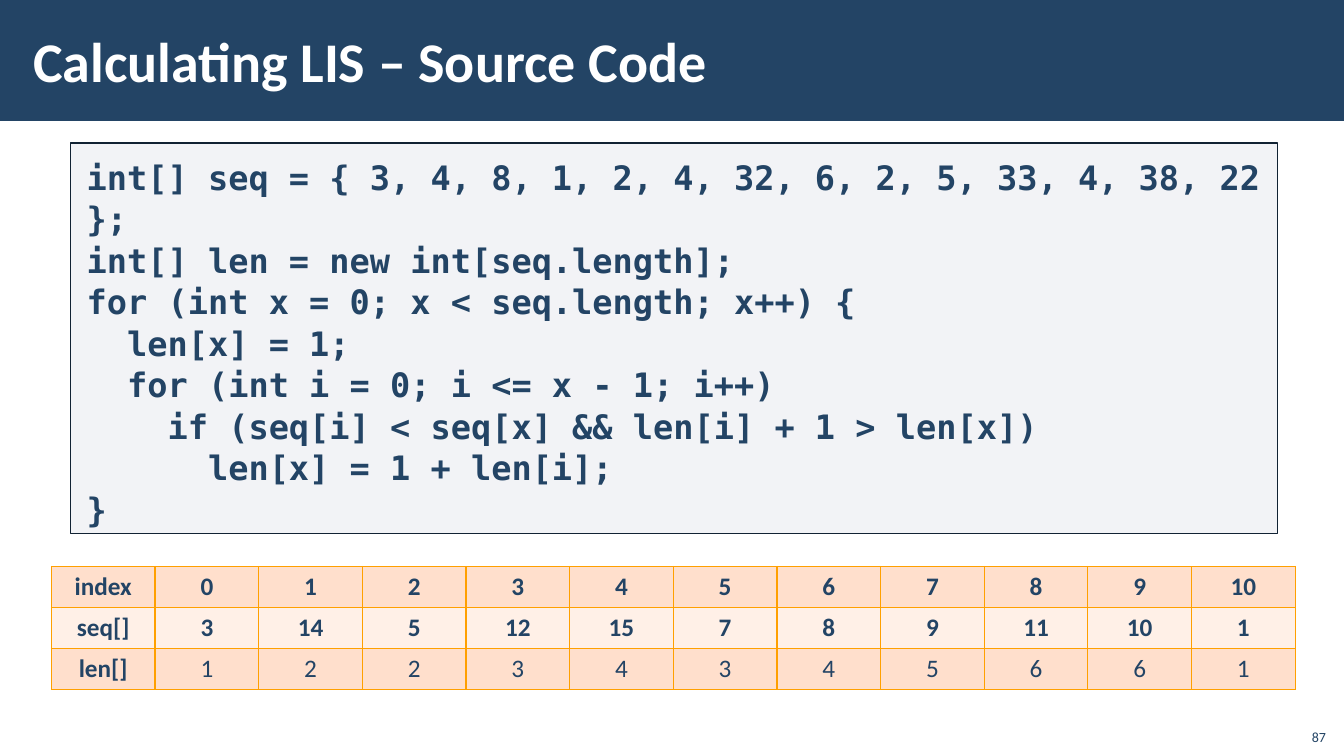
from lxml.etree import SubElement as Sub
from pptx import Presentation
from pptx.dml.color import RGBColor
from pptx.enum.shapes import MSO_SHAPE as Shape
from pptx.enum.text import MSO_ANCHOR as Anchor, MSO_AUTO_SIZE as Auto, PP_ALIGN as Align
from pptx.oxml.ns import qn
from pptx.util import Inches, Pt

NAVY, WHITE, DARK = "234465", "FFFFFF", "112233"
GREY, GOLD = "ADB4C3", "FFA000"
BANDS = ["FFDFCC", "FFF0E7"]

CODE = """int[] seq = { 3, 4, 8, 1, 2, 4, 32, 6, 2, 5, 33, 4, 38, 22 };
int[] len = new int[seq.length];
for (int x = 0; x < seq.length; x++) {
  len[x] = 1;
  for (int i = 0; i <= x - 1; i++)
    if (seq[i] < seq[x] && len[i] + 1 > len[x])
      len[x] = 1 + len[i];
}"""

ROWS = [
    ["index", *range(11)],
    ["seq[]", 3, 14, 5, 12, 15, 7, 8, 9, 11, 10, 1],
    ["len[]", 1, 2, 2, 3, 4, 3, 4, 5, 6, 6, 1],
]


def color(code):
    return RGBColor.from_string(code)


def assign(item, values):
    for name, value in values.items():
        setattr(item, name, value)


class Deck:
    """Holds the style and the current slide, and draws each kind of element."""

    def __init__(self):
        self.show = Presentation()
        assign(self.show, {"slide_width": Inches(13.33), "slide_height": Inches(7.5)})
        self.slide = self.show.slides.add_slide(self.show.slide_layouts[1])
        self.font = "Calibri"
        self.mono = "DejaVu Sans Mono"

    def place(self, shape, *box):
        assign(shape, dict(zip(["left", "top", "width", "height"], map(Inches, box))))

    def frame(self, frame, side, edge, anchor):
        assign(frame, {
            "margin_left": Inches(side), "margin_right": Inches(side),
            "margin_top": Inches(edge), "margin_bottom": Inches(edge),
            "vertical_anchor": anchor, "word_wrap": True, "auto_size": Auto.NONE,
        })

    def words(self, frame, text, size, tint=NAVY, bold=False, align=Align.LEFT, font=None):
        frame.text = text
        for par in frame.paragraphs:
            assign(par, {"alignment": align, "space_before": Pt(0)})
            for run in par.runs:
                assign(run.font, {"name": font or self.font, "size": Pt(size), "bold": bold})
                run.font.color.rgb = color(tint)

    def band(self, *box):
        bar = self.slide.shapes.add_shape(Shape.RECTANGLE, *map(Inches, box))
        bar.shadow.inherit = False
        bar.fill.solid()
        bar.fill.fore_color.rgb = color(NAVY)
        bar.line.fill.background()
        self.slide.shapes._spTree.insert(2, bar._element)

    def title(self, text, *box):
        head = self.slide.shapes.title
        self.place(head, *box)
        self.frame(head.text_frame, 0.12, 0.04, Anchor.MIDDLE)
        self.words(head.text_frame, text, 40, WHITE, True)

    def code(self, text, *box):
        body = self.slide.placeholders[1]
        self.place(body, *box)
        body.fill.solid()
        body.fill.fore_color.rgb = color(GREY)
        tint = body._element.spPr.find(qn("a:solidFill"))[0]
        Sub(tint, qn("a:alpha"), val="15000")
        body.line.color.rgb = color(DARK)
        body.line.width = Pt(1)
        self.frame(body.text_frame, 0.16, 0.12, Anchor.TOP)
        self.words(body.text_frame, text, 24, bold=True, font=self.mono)
        for par in body.text_frame.paragraphs:
            par.line_spacing = 1.03
            props = par._p.get_or_add_pPr()
            props.set("marL", "0")
            props.set("indent", "0")
            Sub(props, qn("a:buNone"))

    def border(self, cell):
        props = cell._tc.get_or_add_tcPr()
        for side in ["lnL", "lnR", "lnT", "lnB"]:
            line = Sub(props, qn("a:" + side), w=str(Pt(1)))
            fill = Sub(line, qn("a:solidFill"))
            Sub(fill, qn("a:srgbClr"), val=GOLD)

    def table(self, rows, left, top, width, high):
        box = map(Inches, [left, top, width, high * len(rows)])
        grid = self.slide.shapes.add_table(len(rows), len(rows[0]), *box).table
        assign(grid, {"first_row": False, "horz_banding": False})
        for r, row in enumerate(rows):
            for c, value in enumerate(row):
                cell = grid.cell(r, c)
                bold = r < 2 or c == 0
                self.words(cell.text_frame, str(value), 18, bold=bold, align=Align.CENTER)
                self.border(cell)
                cell.fill.solid()
                cell.fill.fore_color.rgb = color(BANDS[r % 2])

    def label(self, text, *box):
        note = self.slide.shapes.add_textbox(*map(Inches, box))
        self.frame(note.text_frame, 0.1, 0.05, Anchor.BOTTOM)
        self.words(note.text_frame, text, 10, align=Align.RIGHT)


def main():
    deck = Deck()
    deck.band(0, 0, 13.33, 1.2)
    deck.title("Calculating LIS – Source Code", 0.21, 0.11, 10.63, 0.97)
    deck.code(CODE, 0.7, 1.42, 11.97, 3.87)
    deck.table(ROWS, 0.51, 5.62, 12.34, 0.4)
    deck.label("87", 12.85, 7.12, 0.4, 0.32)
    deck.show.save("out.pptx")


if __name__ == "__main__":
    main()
